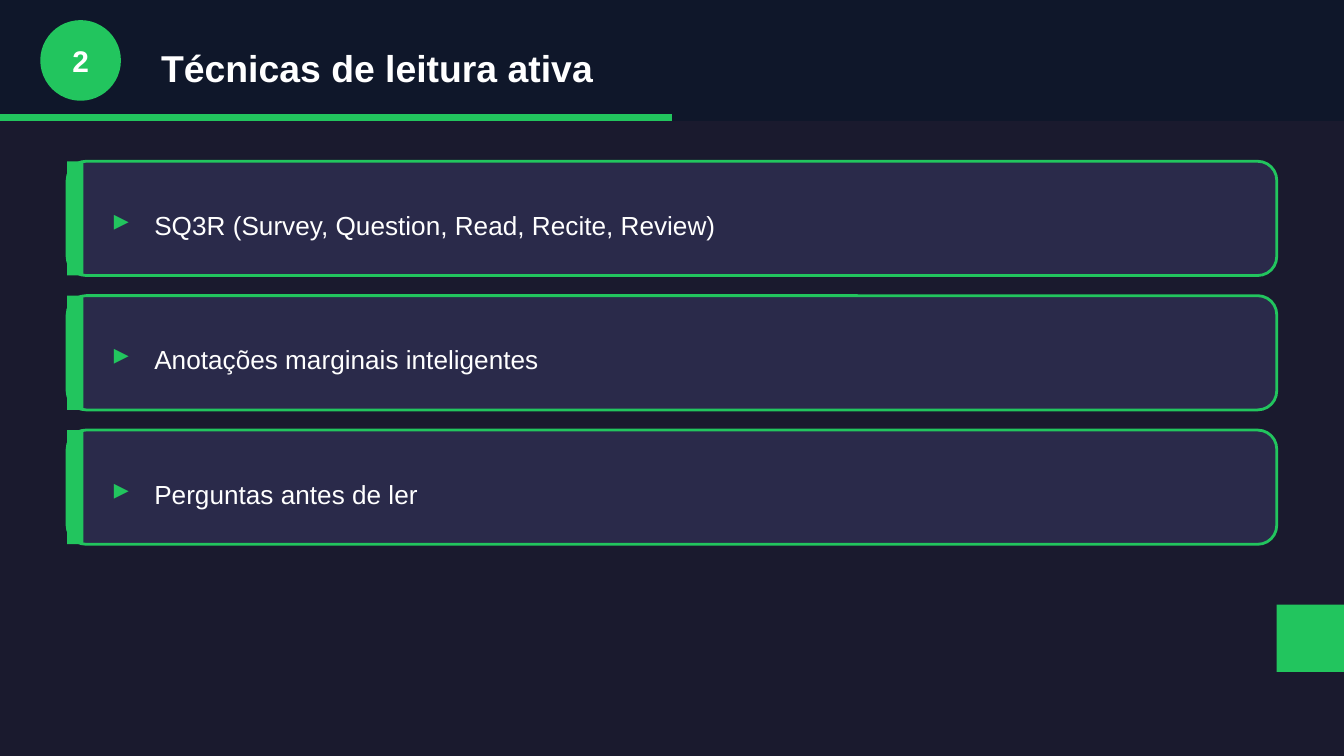
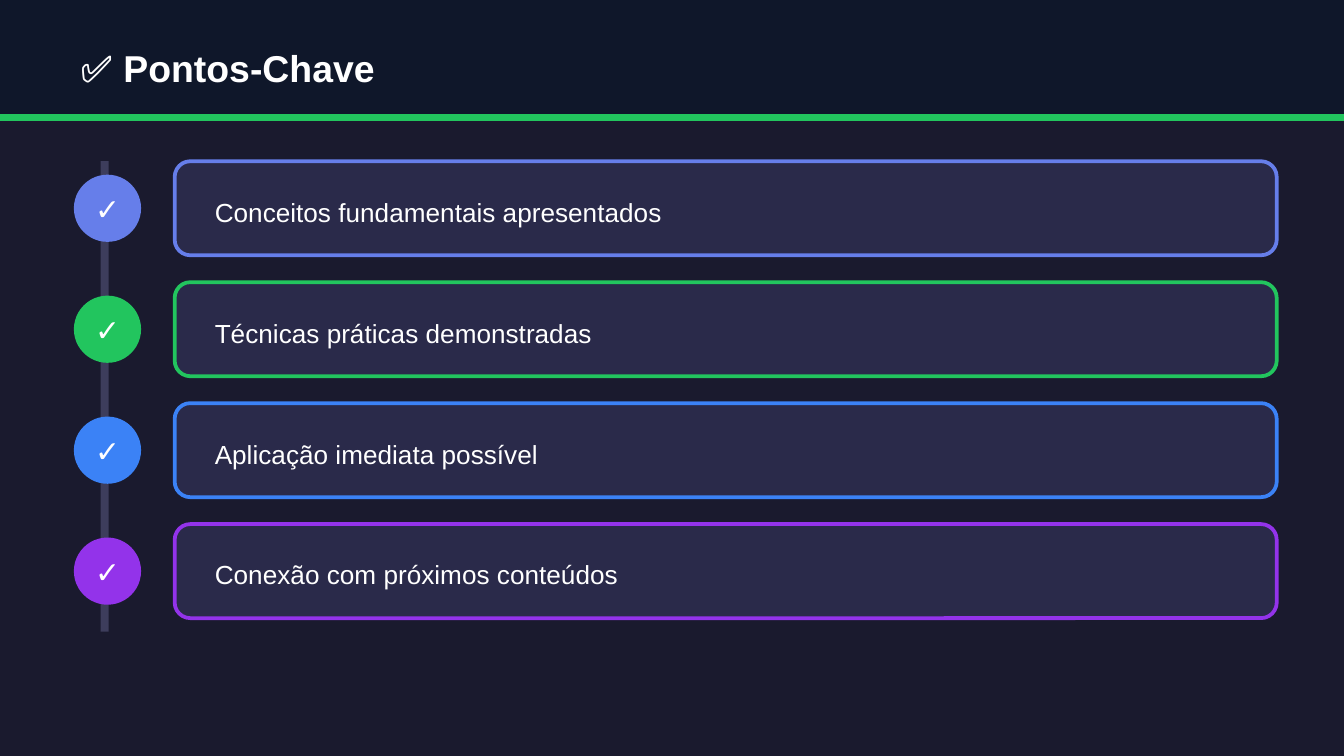
from dataclasses import dataclass

from pptx import Presentation
from pptx.dml.color import RGBColor
from pptx.enum import shapes, text
from pptx.util import Inches, Pt


@dataclass(frozen=True)
class Theme:
    font: str = "Arial"
    background: str = "1A1A2E"
    band: str = "0F172A"
    card: str = "2A2A4A"
    track: str = "3D3D5C"
    white: str = "FFFFFF"
    indigo: str = "667EEA"
    green: str = "22C55E"
    blue: str = "3B82F6"
    purple: str = "9333EA"
    title_size: int = 20
    mark_size: int = 16
    body_size: int = 14


T = Theme()
WIDTH = 10
RECT = shapes.MSO_SHAPE.RECTANGLE
ROUND = shapes.MSO_SHAPE.ROUNDED_RECTANGLE
OVAL = shapes.MSO_SHAPE.OVAL


def add_box(s, kind, x, y, w, h, fill, line=None, line_width=1.5):
    sp = s.shapes.add_shape(kind, Inches(x), Inches(y), Inches(w), Inches(h))
    sp.shadow.inherit = False
    sp.fill.solid()
    sp.fill.fore_color.rgb = RGBColor.from_string(fill)
    if line:
        sp.line.color.rgb = RGBColor.from_string(line)
        sp.line.width = Pt(line_width)
    else:
        sp.line.fill.background()


def add_label(s, x, y, w, h, words, size, color=T.white, bold=False, centered=False):
    tf = s.shapes.add_textbox(Inches(x), Inches(y), Inches(w), Inches(h)).text_frame
    tf.word_wrap = True
    tf.vertical_anchor = text.MSO_ANCHOR.MIDDLE
    tf.text = words
    p = tf.paragraphs[0]
    if centered:
        p.alignment = text.PP_ALIGN.CENTER
    font = p.runs[0].font
    font.name, font.size, font.bold = T.font, Pt(size), bold
    font.color.rgb = RGBColor.from_string(color)


def add_slide(prs):
    s = prs.slides.add_slide(prs.slide_layouts[6])
    s.background.fill.solid()
    s.background.fill.fore_color.rgb = RGBColor.from_string(T.background)
    return s


def add_header(s, title, title_x, title_w, rule_w):
    add_box(s, RECT, 0, 0, WIDTH, 0.9, T.band)
    add_box(s, RECT, 0, 0.85, rule_w, 0.05, T.green)
    add_label(s, title_x, 0.25, title_w, 0.5, title, T.title_size, bold=True)


def add_badge(s, x, y, size, mark, color):
    """Draw a disc with a centred mark."""
    add_box(s, OVAL, x, y, size, size, color)
    add_label(s, x, y + size / 2 - 0.2, size, 0.4, mark, T.mark_size,
              bold=True, centered=True)


def add_bullet_card(s, x, y, w, h, words, color):
    add_box(s, ROUND, x, y, w, h, T.card, color)
    add_box(s, RECT, x, y, 0.12, h, color)
    add_label(s, x + 0.25, y + 0.25, 0.3, 0.35, "▸", T.mark_size, color, bold=True)
    add_label(s, x + 0.55, y + 0.25, w - 0.8, 0.45, words, T.body_size)


def add_timeline_step(s, x, y, w, h, words, color):
    """Draw a check badge on the track and the outlined card beside it."""
    add_badge(s, x, y + 0.1, 0.5, "✓", color)
    card_x, card_w = x + 0.75, w - 0.75
    add_box(s, ROUND, card_x, y, card_w, h, T.card, color, 2)
    add_label(s, card_x + 0.2, y + 0.15, card_w - 0.4, 0.45, words, T.body_size)


def build_topic_slide(prs, number, title, points):
    s = add_slide(prs)
    add_header(s, title, title_x=1.1, title_w=8.5, rule_w=WIDTH / 2)
    add_badge(s, 0.3, 0.15, 0.6, number, T.green)
    for i, words in enumerate(points):
        add_bullet_card(s, 0.5, 1.2 + i, 9, 0.85, words, T.green)
    add_box(s, RECT, 9.5, 4.5, 0.5, 0.5, T.green)


def build_key_points_slide(prs, title, steps):
    s = add_slide(prs)
    add_header(s, title, title_x=0.5, title_w=9, rule_w=WIDTH)
    add_box(s, RECT, 0.75, 1.2, 0.06, 3.5, T.track)
    for i, (words, color) in enumerate(steps):
        add_timeline_step(s, 0.55, 1.2 + 0.9 * i, 8.95, 0.7, words, color)


def main():
    prs = Presentation()
    prs.slide_width = Inches(WIDTH)
    prs.slide_height = Inches(WIDTH) * 9 // 16
    build_topic_slide(prs, "2", "Técnicas de leitura ativa", [
        "SQ3R (Survey, Question, Read, Recite, Review)",
        "Anotações marginais inteligentes",
        "Perguntas antes de ler",
    ])
    build_key_points_slide(prs, "✅ Pontos-Chave", [
        ("Conceitos fundamentais apresentados", T.indigo),
        ("Técnicas práticas demonstradas", T.green),
        ("Aplicação imediata possível", T.blue),
        ("Conexão com próximos conteúdos", T.purple),
    ])
    prs.save("out.pptx")


if __name__ == "__main__":
    main()
